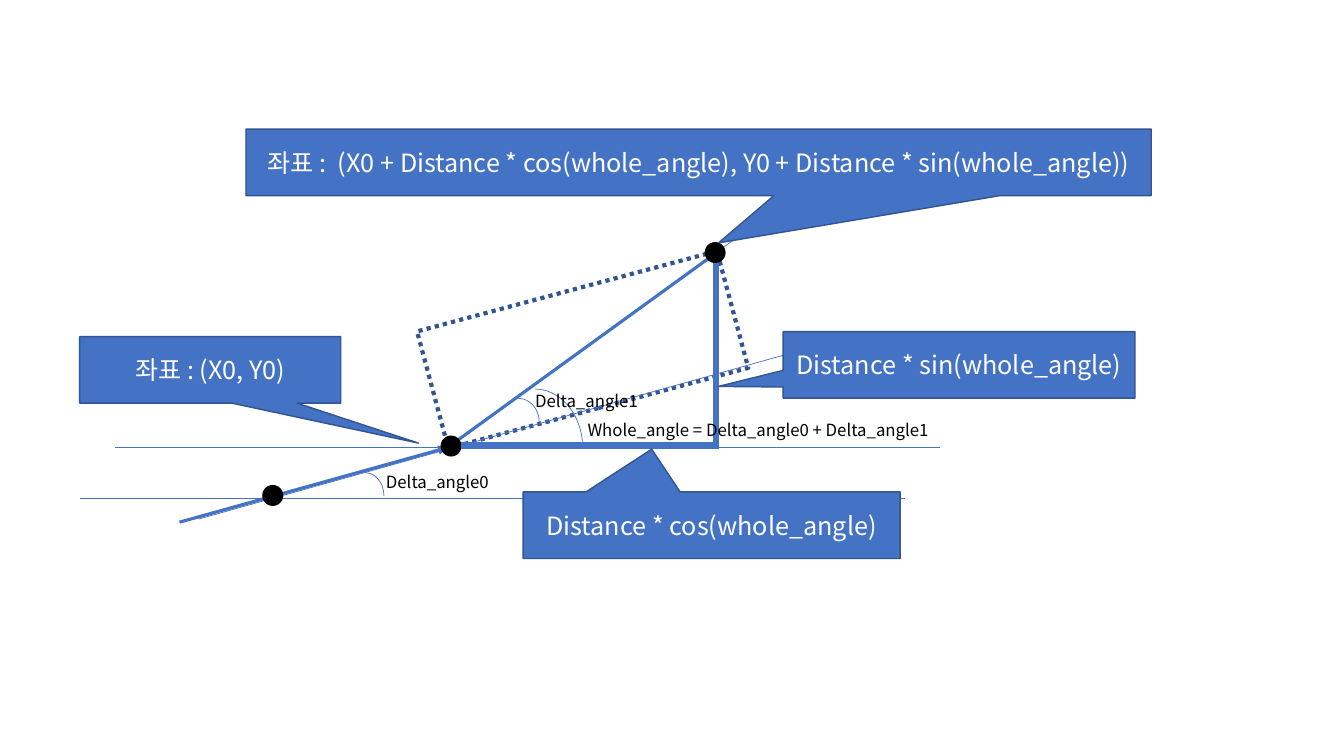
from lxml.etree import SubElement
from pptx import Presentation
from pptx.dml.color import RGBColor
from pptx.enum.dml import MSO_LINE
from pptx.enum.shapes import MSO_CONNECTOR, MSO_SHAPE
from pptx.enum.text import MSO_ANCHOR, MSO_AUTO_SIZE, PP_ALIGN
from pptx.oxml.ns import qn
from pptx.util import Pt

BLUE = RGBColor(0x44, 0x72, 0xC4)
NAVY = RGBColor(0x32, 0x54, 0x91)
BLACK = RGBColor(0, 0, 0)
WHITE = RGBColor(0xFF, 0xFF, 0xFF)
FONT = "Noto Sans CJK KR"
THIN, MEDIUM, THICK = 0.5, 2.25, 4.5


class Diagram:
    dot_size = 15
    callout_height = 47.5
    label_height = 21.6

    def __init__(self, slide):
        self.shapes = slide.shapes

    def shape(self, kind, x, y, w, h, fill=None, line=None, width=1):
        sp = self.shapes.add_shape(kind, Pt(x), Pt(y), Pt(w), Pt(h))
        sp.shadow.inherit = False
        if fill is None:
            sp.fill.background()
        else:
            sp.fill.solid()
            sp.fill.fore_color.rgb = fill
        if line is None:
            sp.line.fill.background()
        else:
            sp.line.color.rgb = line
            sp.line.width = Pt(width)
        return sp

    def dashed_box(self, x, y, w, h, angle):
        sp = self.shape(MSO_SHAPE.RECTANGLE, x, y, w, h, line=NAVY, width=3)
        sp.line.dash_style = MSO_LINE.ROUND_DOT
        sp.rotation = angle

    def line(self, start, end, width=THIN, arrow=False):
        cx = self.shapes.add_connector(
            MSO_CONNECTOR.STRAIGHT, *(Pt(v) for v in (*start, *end)))
        cx.line.color.rgb = BLUE
        cx.line.width = Pt(width)
        sp_pr = cx._element.spPr
        if arrow:
            SubElement(sp_pr.find(qn("a:ln")), qn("a:tailEnd"), type="triangle")
        SubElement(sp_pr, qn("a:effectLst"))

    def arc(self, x, y, w, h):
        self.shape(MSO_SHAPE.ARC, x, y, w, h, line=BLUE, width=THIN)

    def dot(self, x, y):
        d = self.dot_size
        self.shape(MSO_SHAPE.OVAL, x - d / 2, y - d / 2, d, d, fill=BLACK)

    def set_text(self, tf, text, size, color, align):
        tf.word_wrap = True
        p = tf.paragraphs[0]
        p.text = text
        p.alignment = align
        p.font.name = FONT
        p.font.size = Pt(size)
        p.font.color.rgb = color
        SubElement(p._p.pPr.find(qn("a:defRPr")), qn("a:ea"), typeface=FONT)

    def label(self, x, y, w, text):
        tf = self.shapes.add_textbox(
            Pt(x), Pt(y), Pt(w), Pt(self.label_height)).text_frame
        self.set_text(tf, text, 12, BLACK, PP_ALIGN.LEFT)
        tf.auto_size = MSO_AUTO_SIZE.SHAPE_TO_FIT_TEXT

    def callout(self, x, y, w, tip, text):
        sp = self.shape(MSO_SHAPE.RECTANGULAR_CALLOUT, x, y, w,
                        self.callout_height, fill=BLUE, line=NAVY)
        sp.adjustments[0], sp.adjustments[1] = tip
        sp.text_frame.vertical_anchor = MSO_ANCHOR.MIDDLE
        self.set_text(sp.text_frame, text, 18, WHITE, PP_ALIGN.CENTER)


def main():
    prs = Presentation()
    prs.slide_width, prs.slide_height = Pt(960), Pt(540)
    d = Diagram(prs.slides.add_slide(prs.slide_layouts[6]))
    origin = (319.7, 319.7)

    d.dashed_box(305.3, 206.6, 221.8, 86.4, 345)
    d.line(origin, (513.4, 179.3), MEDIUM, arrow=True)
    d.line((128.2, 373), origin, MEDIUM, arrow=True)
    d.line((82.1, 319.7), (671.8, 319.7))
    d.line((141.8, 370.8), (601.9, 241.9))
    d.line((316.8, 321.1), (576, 133.9))
    d.arc(354.2, 284.4, 31, 33.8)
    d.arc(347.8, 277.9, 68.4, 84.2)
    d.line((56.9, 355.7), (646.6, 355.7))
    d.arc(248.4, 337.7, 25.9, 33.8)

    for center in ((194.8, 353.9), (322.2, 318.6), (510.8, 180.4)):
        d.dot(*center)

    d.line((511.2, 187.9), (511.2, 320.4), THICK)
    d.label(412.6, 296.6, 266.4, "Whole_angle = Delta_angle0 + Delta_angle1")
    d.label(375.1, 275.8, 126.7, "Delta_angle1")
    d.label(268.6, 333.4, 126.7, "Delta_angle0")
    d.line((329, 318.2), (513.4, 318.2), THICK)

    d.callout(373.7, 351.4, 269.3, (-0.159, -1.143), "Distance * cos(whole_angle)")
    d.callout(559.4, 236.9, 251.3, (-0.684, 0.324), "Distance * sin(whole_angle)")
    d.callout(175.7, 92.2, 646.6, (0.022, 1.212),
              "좌표 :  (X0 + Distance * cos(whole_angle), Y0 + Distance * sin(whole_angle))")
    d.callout(56.9, 240.5, 186.5, (0.798, 1.101), "좌표 : (X0, Y0)")

    prs.save("out.pptx")


if __name__ == "__main__":
    main()
